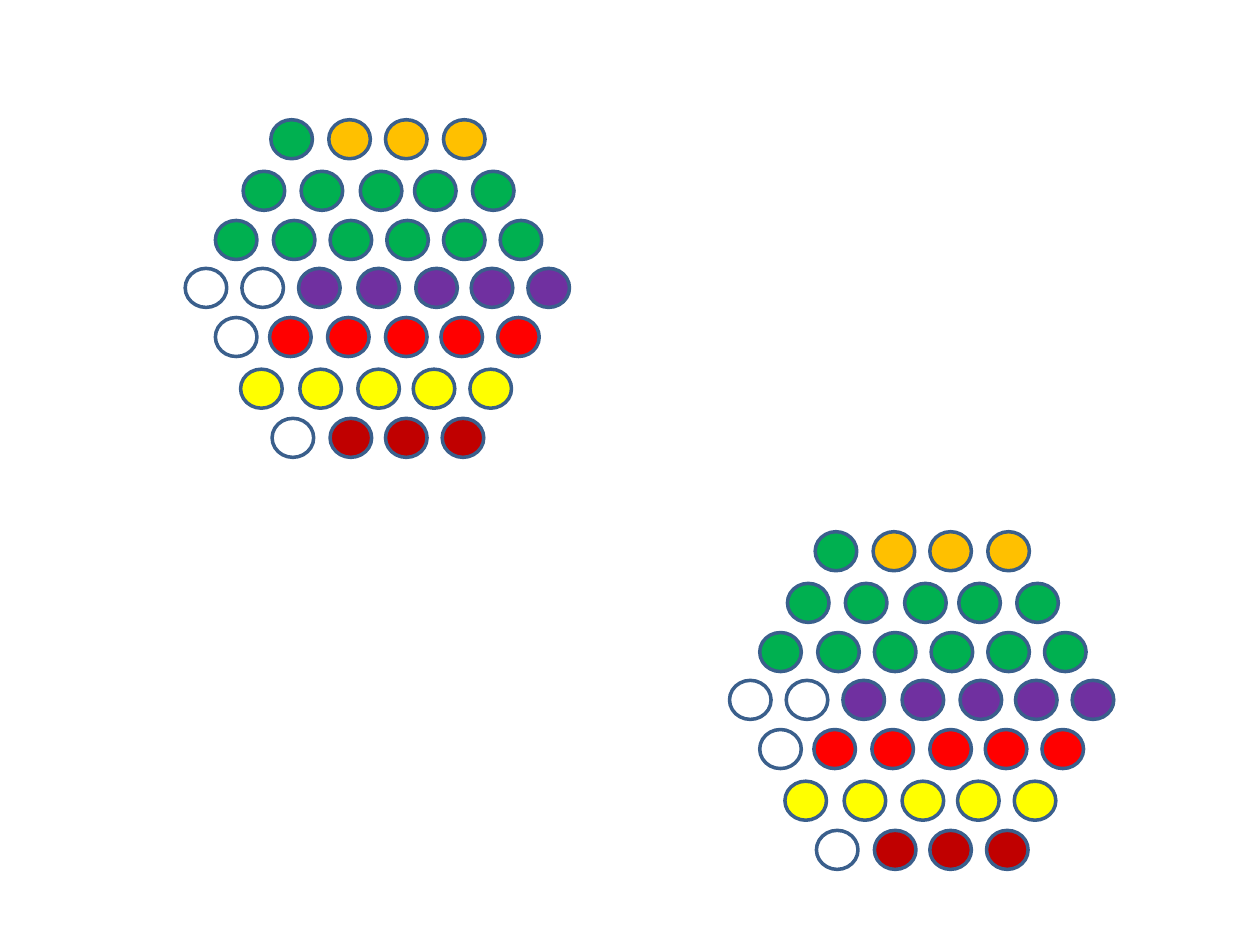
import pptx
import pptx.dml.color
import pptx.enum.shapes
import pptx.util

Inches = pptx.util.Inches

GREEN, GOLD, PURPLE = "00B050", "FFC000", "7030A0"
RED, YELLOW, MAROON = "FF0000", "FFFF00", "C00000"
EDGE = "3A5F8C"
WIDE, HIGH = 0.33, 0.31

# Left and top of each cluster
CLUSTERS = [(5.79, 4.22), (1.47, 0.95)]

# Rows of one cluster: top, lefts of the dots, fills (None is an open ring)
ROWS = [
    (0.00, [0.68, 1.14, 1.59, 2.05], [GREEN] + [GOLD] * 3),
    (0.41, [0.46, 0.92, 1.39, 1.82, 2.28], [GREEN] * 5),
    (0.80, [0.24, 0.70, 1.15, 1.60, 2.05, 2.50], [GREEN] * 6),
    (1.18, [0.00, 0.45, 0.90, 1.37, 1.83, 2.27, 2.72],
     [None] * 2 + [PURPLE] * 5),
    (1.57, [0.24, 0.67, 1.13, 1.59, 2.03, 2.48], [None] + [RED] * 5),
    (1.98, [0.44, 0.91, 1.37, 1.81, 2.26], [YELLOW] * 5),
    (2.37, [0.69, 1.15, 1.59, 2.04], [None] + [MAROON] * 3),
]


def color(text):
    return pptx.dml.color.RGBColor.from_string(text)


def add_dot(group, left, top, fill):
    dot = group.shapes.add_shape(
        pptx.enum.shapes.MSO_SHAPE.OVAL,
        Inches(left), Inches(top), Inches(WIDE), Inches(HIGH))
    dot.shadow.inherit = False
    if fill:
        dot.fill.solid()
        dot.fill.fore_color.rgb = color(fill)
    else:
        dot.fill.background()
    dot.line.color.rgb = color(EDGE)
    dot.line.width = pptx.util.Pt(2)


def main():
    deck = pptx.Presentation()
    deck.slide_width, deck.slide_height = Inches(10), Inches(7.5)
    slide = deck.slides.add_slide(deck.slide_layouts[6])

    # One group of dots for each cluster
    for left, top in CLUSTERS:
        group = slide.shapes.add_group_shape()
        for down, lefts, fills in ROWS:
            for right, fill in zip(lefts, fills):
                add_dot(group, left + right, top + down, fill)

    deck.save("out.pptx")


if __name__ == "__main__":
    main()
